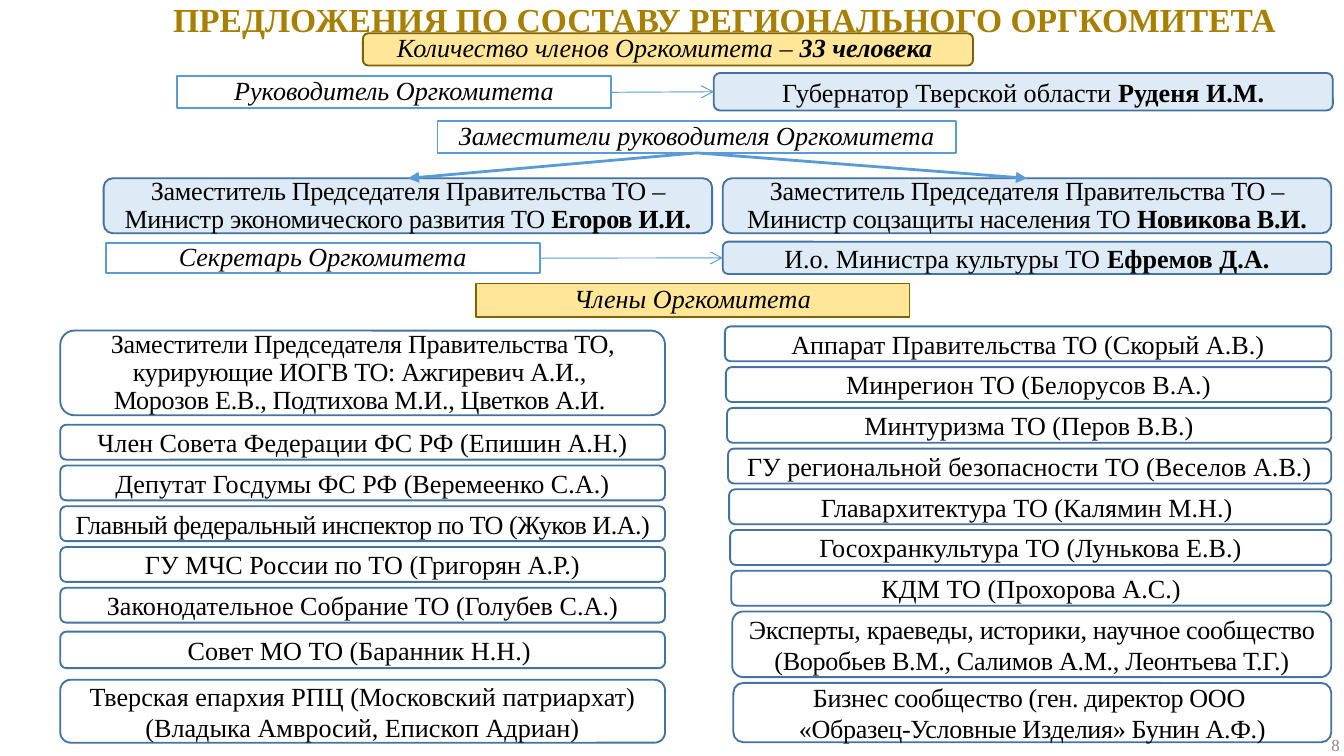
from pptx import Presentation
from pptx.dml.color import RGBColor
from pptx.enum.shapes import MSO_CONNECTOR, MSO_SHAPE
from pptx.enum.text import MSO_ANCHOR, PP_ALIGN
from pptx.oxml.ns import qn
from pptx.util import Cm, Pt
from lxml import etree

RECT = MSO_SHAPE.RECTANGLE
ROUND = MSO_SHAPE.ROUNDED_RECTANGLE
STRAIGHT = MSO_CONNECTOR.STRAIGHT
MIDDLE = MSO_ANCHOR.MIDDLE
CENTER, RIGHT = PP_ALIGN.CENTER, PP_ALIGN.RIGHT

FONT = "Times New Roman"
COLORS = {
    "title": "A88000",
    "text": "000000",
    "number": "898989",
    "white": "FFFFFF",
    "blue": "DEEBF7",
    "gold": "FFE699",
    "border": "43739E",
    "gold_border": "806000",
    "accent": "5B9BD5",
}
ROW = 0.66
LEFT_COLUMN = 1.14
COLUMN_WIDTH = 11.43
RIGHT_COLUMN, RIGHT_EDGE = 13.7, 25.16
ROW_SHIFT = 0.02

# Each member row: height, text, letter spacing, line spacing
DEPUTY_CHAIRS = [
    (1.6, "Заместители Председателя Правительства ТО, курирующие ИОГВ ТО: Ажгиревич А.И., "
          "\vМорозов Е.В., Подтихова М.И., Цветков А.И. ", -0.2, Pt(15)),
]
AUTHORITIES = [
    (ROW, "Член Совета Федерации ФС РФ (Епишин А.Н.)", 0, None),
    (ROW, "Депутат Госдумы ФС РФ (Веремеенко С.А.)", 0, None),
    (ROW, "Главный федеральный инспектор по ТО (Жуков И.А.)", -0.3, None),
    (ROW, "ГУ МЧС России по ТО (Григорян А.Р.)", 0, None),
    (ROW, "Законодательное Собрание ТО (Голубев С.А.)", 0, None),
]
COUNCIL_AND_CHURCH = [
    (0.69, "Совет МО ТО (Баранник Н.Н.) ", 0, None),
    (1.19, "Тверская епархия РПЦ (Московский патриархат) "
           "(Владыка Амвросий, Епископ Адриан)", 0, None),
]
DEPARTMENTS = [
    (ROW, "Аппарат Правительства ТО (Скорый А.В.)", 0, None),
    (ROW, "Минрегион ТО (Белорусов В.А.)", 0, None),
    (ROW, "Минтуризма ТО (Перов В.В.)", 0, None),
    (ROW, "ГУ региональной безопасности ТО (Веселов А.В.)", 0, None),
    (ROW, "Главархитектура ТО (Калямин М.Н.) ", 0, None),
    (ROW, "Госохранкультура ТО (Лунькова Е.В.)", 0, None),
    (ROW, "КДМ ТО (Прохорова А.С.)", 0, None),
    (1.24, "Эксперты, краеведы, историки, научное сообщество "
           "(Воробьев В.М., Салимов А.М., Леонтьева Т.Г.)", -0.2, None),
    (1.12, "Бизнес сообщество (ген. директор ООО "
           "\v«Образец-Условные Изделия» Бунин А.Ф.)", -0.2, None),
]


def color(name):
    return RGBColor.from_string(COLORS[name])


def write(box, text, bold_text="", size=14, ink="text", align=CENTER,
          italic=False, tracking=0, line_spacing=None):
    """Fill a box with one paragraph: plain text, then an optional bold ending."""
    box.text_frame.word_wrap = True
    para = box.text_frame.paragraphs[0]
    para.text = text
    para.alignment = align
    para.line_spacing = line_spacing
    para.font.name = FONT
    para.font.size = Pt(size)
    para.font.color.rgb = color(ink)
    para.font.italic = italic
    if bold_text:
        span = para.add_run()
        span.text = bold_text
        span.font.bold = True
    if tracking:
        for span in para.runs:
            span._r.get_or_add_rPr().set("spc", str(round(tracking * 100)))
    return para


def add_label(page, left, top, width, height):
    return page.shapes.add_textbox(Cm(left), Cm(top), Cm(width), Cm(height))


def add_box(page, kind, place, fill, border, text, bold_text="", **style):
    box = page.shapes.add_shape(kind, *(Cm(length) for length in place))
    box.shadow.inherit = False
    if fill:
        box.fill.solid()
        box.fill.fore_color.rgb = color(fill)
    else:
        box.fill.background()
    box.line.color.rgb = color(border)
    box.line.width = Pt(1)
    box.text_frame.vertical_anchor = MIDDLE
    write(box, text, bold_text, **style)
    return box


def add_heading(page, place, text, bold_text="", kind=RECT, fill="white", border="accent"):
    return add_box(page, kind, place, fill, border, text, bold_text,
                   italic=True, line_spacing=0.9)


def add_person(page, place, post, name, **style):
    return add_box(page, ROUND, place, "blue", "border", post, name, **style)


def add_members(page, left, top, rows, gap=0.11, shift=0, right=None):
    """Stack member boxes; shift moves each left edge, right fixes the right edge."""
    for height, text, tracking, line_spacing in rows:
        width = right - left if right else COLUMN_WIDTH
        add_box(page, ROUND, (left, top, width, height), None, "border", text,
                tracking=tracking, line_spacing=line_spacing)
        top += height + gap
        left += shift


def add_arrow(page, start, end, width, head):
    arrow = page.shapes.add_connector(STRAIGHT, *start, *end)
    arrow.line.color.rgb = color("accent")
    arrow.line.width = Pt(width)
    etree.SubElement(arrow.line._get_or_add_ln(), qn("a:tailEnd"), type=head)
    etree.SubElement(arrow._element.spPr, qn("a:effectLst"))


def bottom_center(box):
    return box.left + box.width // 2, box.top + box.height


def top_center(box):
    return box.left + box.width // 2, box.top


def link_sideways(page, source, target):
    add_arrow(page, (source.left + source.width, source.top + source.height // 2),
              (target.left, target.top + target.height // 2), 0.5, "arrow")


def main():
    deck = Presentation()
    deck.slide_width, deck.slide_height = Cm(25.4), Cm(14.29)
    page = deck.slides.add_slide(deck.slide_layouts[6])

    title = add_label(page, 2.7, -0.15, 22, 1.09)
    write(title, "ПРЕДЛОЖЕНИЯ ПО СОСТАВУ РЕГИОНАЛЬНОГО ОРГКОМИТЕТА",
          size=18, ink="title").font.bold = True
    number = add_label(page, 24.48, 13.59, 1.09, 0.99)
    number.text_frame.vertical_anchor = MIDDLE
    write(number, "8", size=9, ink="number", align=RIGHT)

    head = add_heading(page, (3.35, 1.44, 8.2, 0.61), "Руководитель Оргкомитета")
    governor = add_person(page, (13.49, 1.38, 11.7, 0.71),
                          "Губернатор Тверской области ", "Руденя И.М.")
    link_sideways(page, head, governor)

    deputies = add_heading(page, (8.27, 2.29, 9.8, 0.6), "Заместители руководителя Оргкомитета")
    for left, ministry, name in (
        (1.96, "экономического развития", "Егоров И.И."),
        (13.66, "соцзащиты населения", "Новикова В.И."),
    ):
        deputy = add_person(
            page, (left, 3.37, 11.5, 1.04),
            f"Заместитель Председателя Правительства ТО – Министр {ministry} ТО ", name,
            tracking=-0.2, line_spacing=Pt(15))
        add_arrow(page, bottom_center(deputies), top_center(deputy), 1.5, "triangle")

    secretary = add_heading(page, (2, 4.6, 8.2, 0.56), "Секретарь Оргкомитета")
    minister = add_person(page, (13.66, 4.57, 11.5, 0.61),
                          "И.о. Министра культуры ТО ", "Ефремов Д.А.")
    link_sideways(page, secretary, minister)

    add_heading(page, (8.99, 5.36, 8.2, 0.63), "Члены Оргкомитета",
                fill="gold", border="gold_border")
    add_members(page, LEFT_COLUMN, 6.25, DEPUTY_CHAIRS)
    add_members(page, LEFT_COLUMN, 8.03, AUTHORITIES)
    add_members(page, LEFT_COLUMN, 11.94, COUNCIL_AND_CHURCH, gap=0.22)
    add_members(page, RIGHT_COLUMN, 6.17, DEPARTMENTS, shift=ROW_SHIFT, right=RIGHT_EDGE)

    add_heading(page, (6.86, 0.63, 11.53, 0.61), "Количество членов Оргкомитета – ",
                "33 человека ", kind=ROUND, fill="gold", border="gold_border")
    deck.save("out.pptx")


if __name__ == "__main__":
    main()
